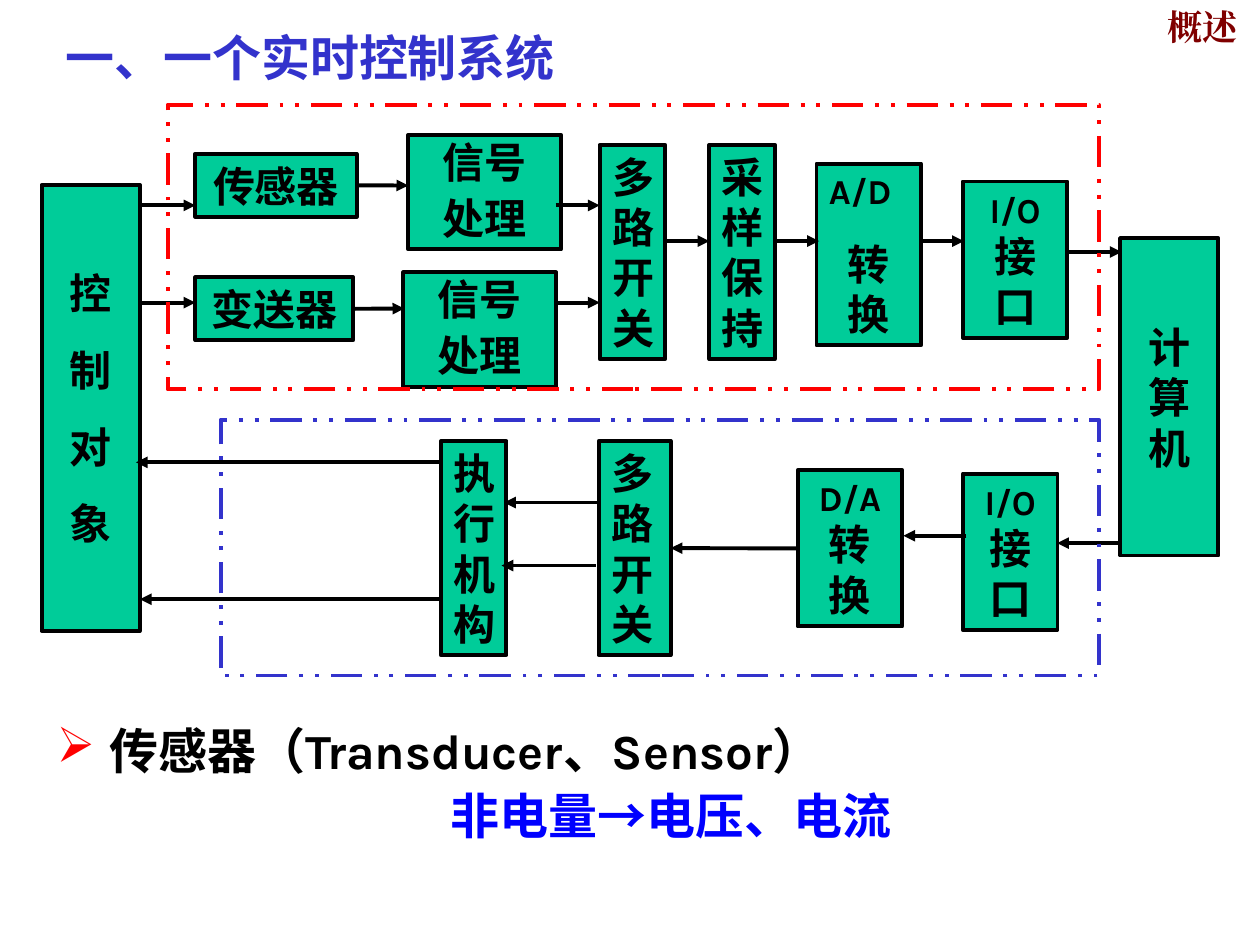
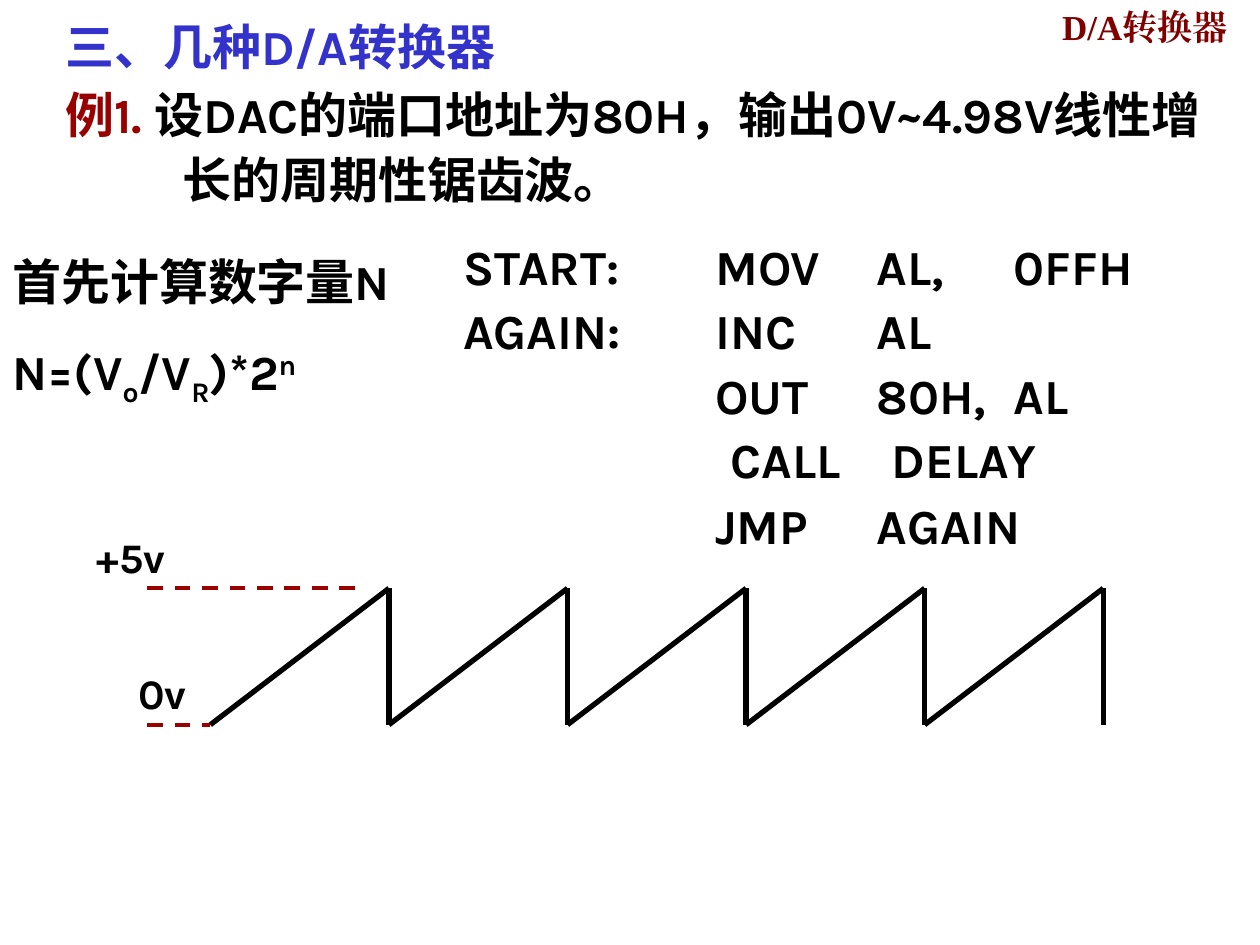
from lxml.etree import SubElement
from pptx import Presentation
from pptx.dml.color import RGBColor
from pptx.enum.dml import MSO_LINE
from pptx.enum.shapes import MSO_CONNECTOR, MSO_SHAPE
from pptx.enum.text import MSO_ANCHOR, PP_ALIGN
from pptx.oxml.ns import qn
from pptx.util import Cm, Pt

# Shared look
BLACK, BLUE, GREEN = "000000", "3333CC", "00CC99"
RED, DARK_RED, MAROON, BRIGHT_BLUE = "FF0000", "990000", "800000", "0000FF"
FONT, HEADER_FONT, CJK_FONT = "Karla", "Times New Roman", "Noto Sans CJK SC"
LEFT, CENTER = PP_ALIGN.LEFT, PP_ALIGN.CENTER


def rgb(color):
    return RGBColor.from_string(color)


# Text
def add_run(p, text, size=24, color=BLACK, font=FONT, baseline=0):
    r = p.add_run()
    r.text = text
    r.font.size, r.font.bold = Pt(size), True
    r.font.color.rgb = rgb(color)
    r.font.name = font
    rPr = r._r.get_or_add_rPr()
    SubElement(rPr, qn("a:ea"), typeface=HEADER_FONT if font == HEADER_FONT else FONT)
    if baseline:
        rPr.set("baseline", str(baseline * 1000))
    return r


def add_text(tf, text, align=LEFT, before=0, line=None, indent=0, hang=0,
             tabs=(), bullet=None, bullet_color=RED, **fmt):
    """Add one paragraph; text is a string or a list of (text, format) runs."""
    first = not tf.text
    p = tf.paragraphs[0] if first else tf.add_paragraph()
    pPr = p._p.get_or_add_pPr()
    if indent:
        pPr.set("marL", str(Cm(indent)))
        pPr.set("indent", str(-Cm(hang)))
    if bullet:
        SubElement(SubElement(pPr, qn("a:buClr")), qn("a:srgbClr"), val=bullet_color)
        SubElement(pPr, qn("a:buChar"), char=bullet)
    if tabs:
        tab_list = SubElement(pPr, qn("a:tabLst"))
        for pos in tabs:
            SubElement(tab_list, qn("a:tab"), pos=str(Cm(pos)), algn="l")
    p.alignment = align
    if line:
        p.line_spacing = line
    if before and not first:
        p.space_before = Pt(before)
    for part, own in [(text, {})] if isinstance(text, str) else text:
        add_run(p, part, **{**fmt, **own})
    return p


def text_box(s, x, y, w, h, anchor=MSO_ANCHOR.TOP):
    tf = s.shapes.add_textbox(Cm(x), Cm(y), Cm(w), Cm(h)).text_frame
    tf.word_wrap = True
    tf.vertical_anchor = anchor
    return tf


def header(s, text, x, w):
    tf = text_box(s, x, 0, w, 1.07, MSO_ANCHOR.MIDDLE)
    add_text(tf, text, size=20, color=MAROON, font=HEADER_FONT)


def heading(s, text, y):
    add_text(text_box(s, 1.07, y, 17, 1.45), text, size=28, color=BLUE)


# Rectangles and lines
def rectangle(s, x, y, w, h, color=BLACK, fill=None, dash=None):
    sp = s.shapes.add_shape(MSO_SHAPE.RECTANGLE, Cm(x), Cm(y), Cm(w), Cm(h))
    sp.shadow.inherit = False
    if fill:
        sp.fill.solid()
        sp.fill.fore_color.rgb = rgb(fill)
    else:
        sp.fill.background()
    sp.line.color.rgb = rgb(color)
    sp.line.width = Pt(2.25)
    if dash:
        sp.line.dash_style = dash
    return sp


def block(s, x, y, w, h, *paragraphs, **fmt):
    sp = rectangle(s, x, y, w, h, fill=GREEN)
    tf = sp.text_frame
    tf.word_wrap = True
    tf.vertical_anchor = MSO_ANCHOR.MIDDLE
    for text in paragraphs:
        add_text(tf, text, **{"align": CENTER, "before": 15, **fmt})
    return sp


def column_block(s, x, y, w, text):
    return block(s, x, y, w, 4.32, text, align=LEFT)


def port_block(s, x, y, w, code, name):
    return block(s, x, y, w, 3.15, [(code, {"size": 20}), (name, {})])


def line(s, x1, y1, x2, y2, color=BLACK, width=2.25, dash=None):
    c = s.shapes.add_connector(MSO_CONNECTOR.STRAIGHT, Cm(x1), Cm(y1), Cm(x2), Cm(y2))
    c.line.color.rgb = rgb(color)
    c.line.width = Pt(width)
    if dash:
        c.line.dash_style = dash
    SubElement(c._element.spPr, qn("a:effectLst"))
    return c


def arrow(s, x1, y, x2):
    c = line(s, x1, y, x2, y)
    SubElement(c.line._get_or_add_ln(), qn("a:tailEnd"), type="triangle")
    return c


# Slides
def control_system(s):
    header(s, "概述", 23.29, 2.11)
    heading(s, "一、一个实时控制系统", 0.43)

    # Both ends of the loop
    block(s, 0.84, 3.73, 1.98, 8.99, *"控制对象")
    block(s, 22.58, 4.8, 1.98, 6.4, "计算机")

    # Input channel
    sensor = block(s, 3.94, 3.1, 3.25, 1.27, "传感器")
    transmitter = block(s, 3.94, 5.59, 3.18, 1.27, "变送器")
    for x, y in ((8.23, 2.72), (8.13, 5.49)):
        block(s, x, y, 3.08, 2.31, "信号", "处理", before=6, line=Pt(26))
    column_block(s, 12.09, 2.92, 1.32, "多路开关")
    column_block(s, 14.3, 2.92, 1.32, "采样保持")
    adc = block(s, 16.46, 3.3, 2.11, 3.66)
    add_text(adc.text_frame, "A/D", size=20)
    add_text(adc.text_frame, "转换", align=CENTER, before=15)
    port_block(s, 19.41, 3.66, 2.11, "I/O", "接口")

    # Output channel
    out_switch = column_block(s, 12.07, 8.89, 1.45, "多路开关")
    column_block(s, 8.89, 8.89, 1.32, "执行机构")
    dac = port_block(s, 16.08, 9.48, 2.11, "D/A", "转换")
    port_block(s, 19.41, 9.55, 1.91, "I/O", "接口")

    # Signal flow: start x, y, end x
    for x1, y, x2 in (
        (2.82, 4.14, 3.94), (2.82, 6.1, 3.94),
        (11.2, 4.14, 12.09), (11.2, 6.1, 12.09),
        (13.41, 4.86, 14.3), (15.62, 4.86, 16.51), (18.57, 4.86, 19.43),
        (21.51, 5.08, 22.61),
        (22.58, 10.95, 21.31), (19.48, 10.8, 18.21),
        (12.07, 10.13, 10.16), (12.01, 11.4, 10.11),
        (8.89, 9.32, 2.74), (8.89, 12.08, 2.82),
    ):
        arrow(s, x1, y, x2)
    arrow(s, 7.19, 3.74, 8.23).begin_connect(sensor, 3)
    arrow(s, 7.12, 6.22, 8.15).begin_connect(transmitter, 3)
    c = arrow(s, 16.08, 11.05, 13.52)
    c.begin_connect(dac, 1)
    c.end_connect(out_switch, 3)

    # Channel frames
    rectangle(s, 3.38, 2.11, 18.77, 5.74, RED, dash=MSO_LINE.DASH_DOT_DOT)
    rectangle(s, 4.45, 8.46, 17.7, 5.16, BLUE, dash=MSO_LINE.DASH_DOT_DOT)

    # Sensor note
    tf = text_box(s, 0.89, 14.53, 22.02, 2.64)
    add_text(tf, "传感器（Transducer、Sensor）", size=28, line=0.9,
             indent=1.07, hang=1.07, bullet="➢")
    add_text(tf, [("非电量", {}), ("→电压、电流", {"font": CJK_FONT})],
             size=28, color=BRIGHT_BLUE, line=0.9, before=7, indent=7.95)


def sawtooth(s):
    header(s, "D/A转换器", 21.16, 4.45)
    heading(s, "三、几种D/A转换器", 0.2)

    # Exercise
    add_text(text_box(s, 1.07, 1.47, 23.93, 2.87),
             [("例1. ", {"color": DARK_RED}),
              ("设DAC的端口地址为80H，输出0V~4.98V线性增长的周期性锯齿波。", {})],
             size=28, line=1.1, indent=2.36, hang=2.36)

    # Program
    tf = text_box(s, 9.09, 4.52, 16.31, 6.78)
    for code, before in (("START:\tMOV\tAL,\t0FFH", 0), ("AGAIN:\tINC\tAL", 0),
                         ("\tOUT\t80H,\tAL", 0), ("\tJMP\tAGAIN", 37)):
        add_text(tf, code, size=28, line=1.1, before=before, tabs=(5.08, 8.33, 11.1))
    add_text(text_box(s, 14.48, 8.53, 7.09, 1.45), "CALL\tDELAY", size=28, tabs=(3.25,))

    # Waveform
    top, bottom, start, period = 11.86, 14.61, 4.24, 3.6
    for i in range(5):
        x = start + i * period
        line(s, x, bottom, x + period, top, width=3)
        line(s, x + period, top, x + period, bottom, width=3)
    for label, x, y, end in (("+5v", 1.7, top, 7.19), ("0v", 2.54, bottom, start)):
        line(s, 2.97, y, end, y, DARK_RED, dash=MSO_LINE.DASH)
        add_text(text_box(s, x, y - 1.27, 2.54, 1.27), label)

    # Formula
    tf = text_box(s, 0, 4.95, 8.41, 4.6)
    add_text(tf, "首先计算数字量N", size=28)
    sub, sup = {"baseline": -25}, {"baseline": 30}
    add_text(tf, [("N=(V", {}), ("o", sub), ("/V", {}), ("R", sub), (")*2", {}), ("n", sup)],
             size=28, before=17.5)


def main():
    prs = Presentation()
    prs.slide_width, prs.slide_height = Cm(25.4), Cm(19.05)
    for build in (control_system, sawtooth):
        build(prs.slides.add_slide(prs.slide_layouts[6]))
    prs.save("out.pptx")


if __name__ == "__main__":
    main()
